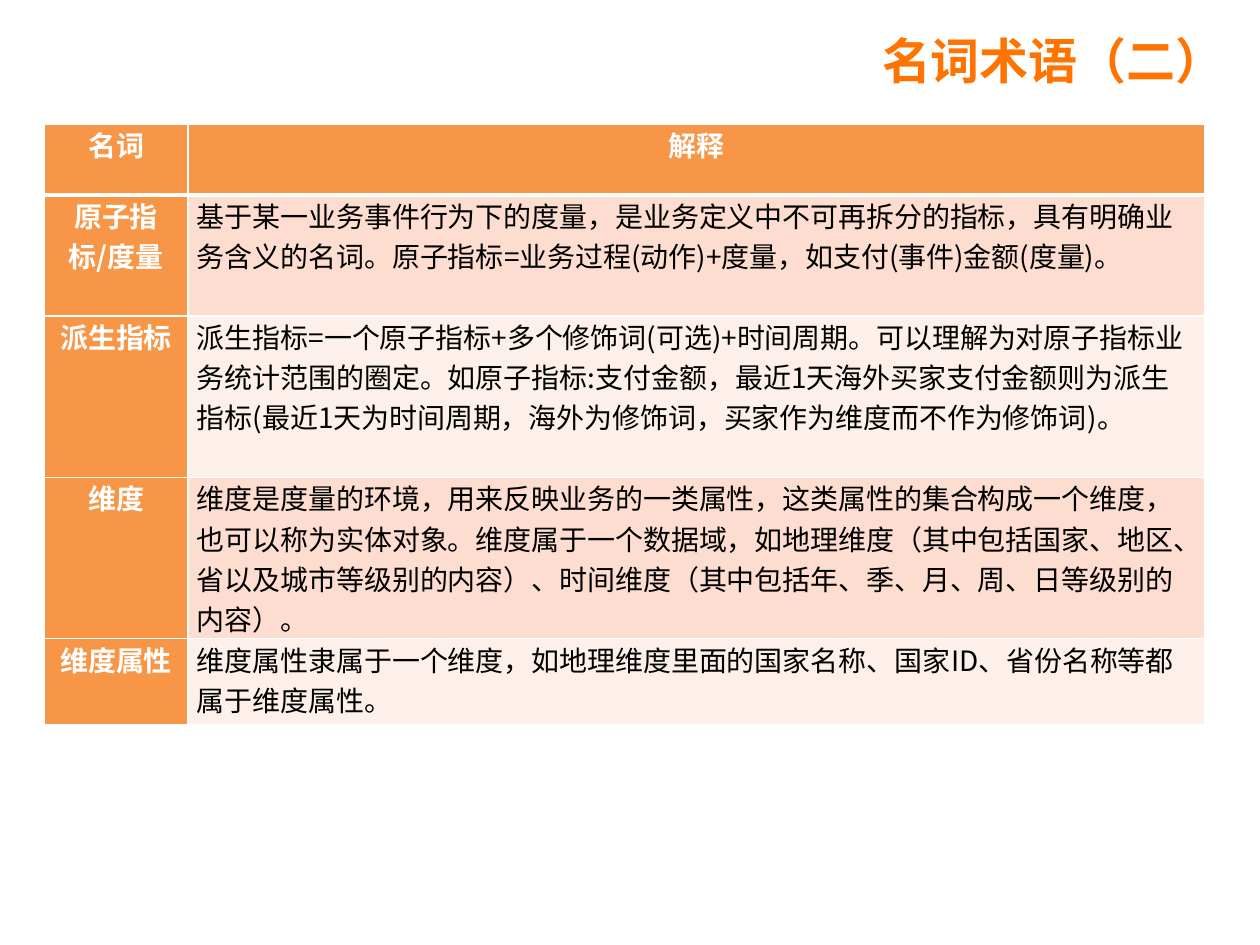
from lxml.etree import SubElement
from pptx import Presentation
from pptx.dml.color import RGBColor
from pptx.enum.text import MSO_ANCHOR, PP_ALIGN
from pptx.oxml import parse_xml
from pptx.oxml.ns import nsdecls, qn
from pptx.util import Cm, Pt

FONT = "Noto Sans CJK SC"
TITLE_ORANGE = RGBColor(0xFF, 0x73, 0x00)
ORANGE = RGBColor(0xF7, 0x96, 0x46)
BAND_DARK = RGBColor(0xFC, 0xDD, 0xCF)
BAND_LIGHT = RGBColor(0xFD, 0xEF, 0xE9)
WHITE = RGBColor(0xFF, 0xFF, 0xFF)
BLACK = RGBColor(0x00, 0x00, 0x00)

TERMS = [
    ("名词", "解释"),
    ("原子指标/度量",
     "基于某一业务事件行为下的度量，是业务定义中不可再拆分的指标，具有明确业务含义的名词。"
     "原子指标=业务过程(动作)+度量，如支付(事件)金额(度量)。"),
    ("派生指标",
     "派生指标=一个原子指标+多个修饰词(可选)+时间周期。可以理解为对原子指标业务统计范围的圈定。"
     "如原子指标:支付金额，最近1天海外买家支付金额则为派生指标"
     "(最近1天为时间周期，海外为修饰词，买家作为维度而不作为修饰词)。"),
    ("维度",
     "维度是度量的环境，用来反映业务的一类属性，这类属性的集合构成一个维度，也可以称为实体对象。"
     "维度属于一个数据域，如地理维度（其中包括国家、地区、省以及城市等级别的内容）、"
     "时间维度（其中包括年、季、月、周、日等级别的内容）。"),
    ("维度属性",
     "维度属性隶属于一个维度，如地理维度里面的国家名称、国家ID、省份名称等都属于维度属性。"),
]
COL_WIDTHS = [Cm(2.9), Cm(20.5)]
ROW_HEIGHTS = [Cm(1.42), Cm(1.73), Cm(1.73), Cm(2.59), Cm(1.73)]


def add_run(tf, text, size, color, bold, align):
    p = tf.paragraphs[0]
    p.alignment = align
    r = p.add_run()
    r.text = text
    r.font.size = Pt(size)
    r.font.bold = bold
    r.font.color.rgb = color
    r.font.name = FONT
    # Chinese characters take the East Asian typeface
    SubElement(r.font._element, qn("a:ea")).set("typeface", FONT)


def set_borders(cell, bottom):
    """Draw white cell borders, 1 pt except for the given bottom width."""
    tcPr = cell._tc.get_or_add_tcPr()
    widths = {"lnL": 1, "lnR": 1, "lnT": 1, "lnB": bottom}
    for i, (side, width) in enumerate(widths.items()):
        tcPr.insert(i, parse_xml(
            f'<a:{side} {nsdecls("a")} w="{Pt(width)}"><a:solidFill>'
            f'<a:srgbClr val="{WHITE}"/></a:solidFill></a:{side}>'))


prs = Presentation()
prs.slide_width, prs.slide_height = Cm(25.4), Cm(19.05)
s = prs.slides.add_slide(prs.slide_layouts[5])

title = s.shapes.title
title.left, title.top, title.width, title.height = Cm(3.99), Cm(0.4), Cm(20.95), Cm(1.6)
title.text_frame.vertical_anchor = MSO_ANCHOR.MIDDLE
add_run(title.text_frame, "名词术语（二）", 28, TITLE_ORANGE, True, PP_ALIGN.RIGHT)

table = s.shapes.add_table(len(TERMS), 2, Cm(0.89), Cm(2.51),
                           sum(COL_WIDTHS), sum(ROW_HEIGHTS)).table
for col, width in zip(table.columns, COL_WIDTHS):
    col.width = width
for row, height in zip(table.rows, ROW_HEIGHTS):
    row.height = height

for i, texts in enumerate(TERMS):
    for j, text in enumerate(texts):
        cell = table.cell(i, j)
        cell.margin_left = cell.margin_right = Cm(0.18)
        cell.margin_top = cell.margin_bottom = 0
        heading = i == 0 or j == 0
        band = BAND_DARK if i % 2 else BAND_LIGHT
        cell.fill.solid()
        cell.fill.fore_color.rgb = ORANGE if heading else band
        set_borders(cell, bottom=3 if i == 0 else 1)
        if i == 1:
            # The header's thick rule is shared with the row below it
            cell._tc.tcPr.find(qn("a:lnT")).set("w", str(Pt(3)))
        add_run(cell.text_frame, text, 16, WHITE if heading else BLACK, heading,
                PP_ALIGN.CENTER if heading else PP_ALIGN.LEFT)

prs.save("out.pptx")
